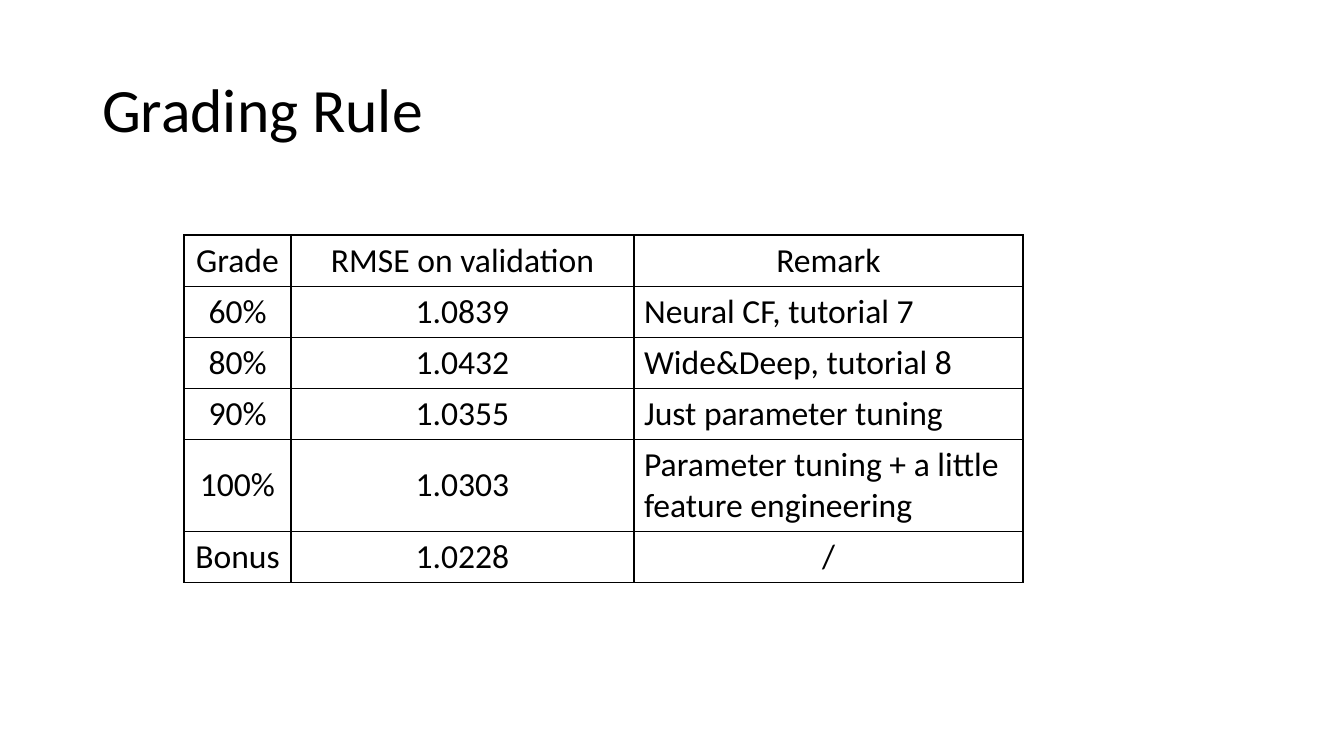
from lxml.etree import SubElement
from pptx import Presentation
from pptx.dml.color import RGBColor
from pptx.enum.text import MSO_ANCHOR, PP_ALIGN
from pptx.oxml.ns import qn
from pptx.util import Pt

TITLE = "Grading Rule"
ROWS = [
    ("Grade", "RMSE on validation", "Remark"),
    ("60%", "1.0839", "Neural CF, tutorial 7"),
    ("80%", "1.0432", "Wide&Deep, tutorial 8"),
    ("90%", "1.0355", "Just parameter tuning"),
    ("100%", "1.0303", "Parameter tuning + a little feature engineering"),
    ("Bonus", "1.0228", "/"),
]
COLORS = {"text": "000000", "border": "000000"}
FONT = "Calibri"
PX = 914400 / 100.8
SLIDE_SIZE = (1344, 756)
TITLE_BOX = (92, 40, 1159, 146)
TABLE_ORIGIN = (184, 235)
COLUMN_WIDTHS = (107, 343, 389)
ROW_HEIGHTS = (51, 51, 51, 51, 92, 51)
REMARK_COLUMN = 2
LEFT_ALIGNED_ROWS = range(1, 5)


def emu(pixels):
    return round(pixels * PX)


def format_text(paragraph, size):
    for span in paragraph.runs:
        span.font.name = FONT
        span.font.size = Pt(size)
        span.font.bold = False
        span.font.color.rgb = RGBColor.from_string(COLORS["text"])


def add_borders(cell):
    properties = cell._tc.get_or_add_tcPr()
    for side in ("lnL", "lnR", "lnT", "lnB"):
        line = SubElement(properties, qn(f"a:{side}"), w=str(Pt(1)))
        fill = SubElement(line, qn("a:solidFill"))
        SubElement(fill, qn("a:srgbClr"), val=COLORS["border"])


def add_title(page):
    title = page.shapes.title
    title.left, title.top, title.width, title.height = map(emu, TITLE_BOX)
    title.text_frame.text = TITLE
    title.text_frame.vertical_anchor = MSO_ANCHOR.MIDDLE
    para = title.text_frame.paragraphs[0]
    para.alignment = PP_ALIGN.LEFT
    para.line_spacing = 0.9
    format_text(para, 44)


def add_grades(page):
    size = (sum(COLUMN_WIDTHS), sum(ROW_HEIGHTS))
    table = page.shapes.add_table(
        len(ROWS), len(COLUMN_WIDTHS), *map(emu, TABLE_ORIGIN + size)
    ).table
    table.first_row = False
    table.horz_banding = False
    for column, width in zip(table.columns, COLUMN_WIDTHS):
        column.width = emu(width)
    for row, height in zip(table.rows, ROW_HEIGHTS):
        row.height = emu(height)
    for row_index, values in enumerate(ROWS):
        for column_index, value in enumerate(values):
            cell = table.cell(row_index, column_index)
            cell.text_frame.text = value
            cell.vertical_anchor = MSO_ANCHOR.MIDDLE
            add_borders(cell)
            cell.fill.background()
            para = cell.text_frame.paragraphs[0]
            is_remark = column_index == REMARK_COLUMN and row_index in LEFT_ALIGNED_ROWS
            para.alignment = PP_ALIGN.LEFT if is_remark else PP_ALIGN.CENTER
            format_text(para, 24)


def main():
    deck = Presentation()
    deck.slide_width, deck.slide_height = map(emu, SLIDE_SIZE)
    page = deck.slides.add_slide(deck.slide_layouts[5])
    add_title(page)
    add_grades(page)
    deck.save("out.pptx")


if __name__ == "__main__":
    main()
